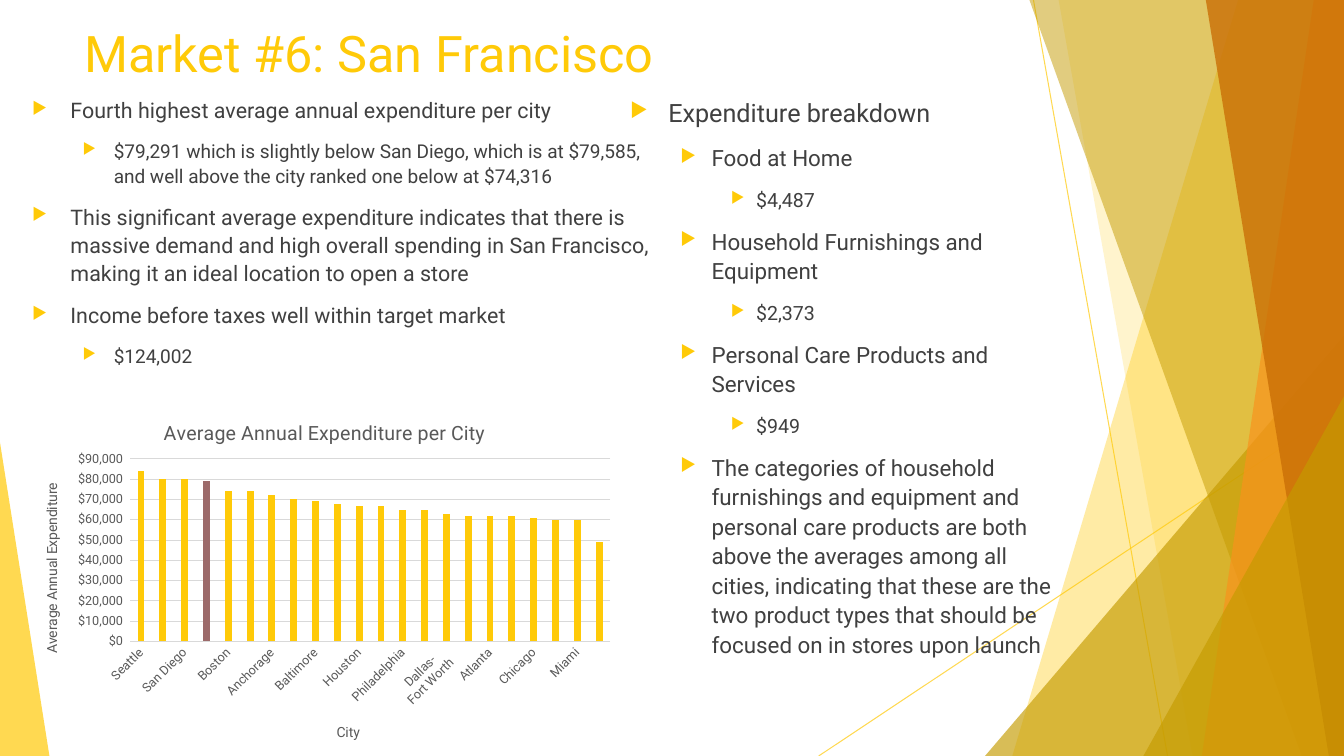
"""Builds the San Francisco market slide with its expenditure chart."""
from dataclasses import dataclass

from lxml import etree
from pptx import Presentation
from pptx.chart.data import CategoryChartData
from pptx.dml.color import RGBColor
from pptx.enum.chart import XL_CHART_TYPE, XL_TICK_MARK
from pptx.enum.shapes import MSO_CONNECTOR, MSO_SHAPE
from pptx.oxml.ns import qn
from pptx.util import Pt

COLUMNS = XL_CHART_TYPE.COLUMN_CLUSTERED
NO_TICK = XL_TICK_MARK.NONE
STRAIGHT = MSO_CONNECTOR.STRAIGHT
TRIANGLE = MSO_SHAPE.ISOSCELES_TRIANGLE
PX = 9144


@dataclass(frozen=True)
class Theme:
    font: str = "Roboto"
    gold: str = "FFCA08"
    olive: str = "C59B00"
    orange: str = "F8931D"
    rust: str = "CA6F06"
    body: str = "404040"
    label: str = "595959"
    grid: str = "D9D9D9"
    highlight: str = "9C6A6A"
    title_size: float = 36
    market_sizes: tuple = (15.3, 13.6)
    breakdown_sizes: tuple = (18, 16, 14)
    chart_title_size: float = 14
    axis_title_size: float = 10
    tick_size: float = 9
    indents: tuple = ((38, 38), (81, 31), (125, 25))


class SlideBuilder:
    def __init__(self, slide, theme):
        self.shapes = slide.shapes
        self.theme = theme

    def fade(self, shape, opacity):
        properties = shape._element.spPr
        for color in properties.iter(qn("a:srgbClr")):
            etree.SubElement(color, qn("a:alpha"), val=str(opacity * 1000))

    def paint(self, shape, color, opacity):
        shape.shadow.inherit = False
        shape.fill.solid()
        shape.fill.fore_color.rgb = RGBColor.from_string(color)
        shape.line.fill.background()
        self.fade(shape, opacity)

    def ray(self, start, end):
        ray = self.shapes.add_connector(STRAIGHT, *(v * PX for v in start + end))
        ray.line.color.rgb = RGBColor.from_string(self.theme.gold)
        ray.line.width = Pt(0.75)
        self.fade(ray, 70)
        etree.SubElement(ray._element.spPr, qn("a:effectLst"))

    def shard(self, top_left, bottom_left, color, opacity):
        outline = self.shapes.build_freeform(top_left, 0, scale=PX)
        outline.add_line_segments([(1333, 0), (1333, 750), (bottom_left, 750)])
        self.paint(outline.convert_to_shape(), color, opacity)

    def triangle(self, box, apex, color, opacity):
        triangle = self.shapes.add_shape(TRIANGLE, *(v * PX for v in box))
        triangle.adjustments[0] = apex
        self.paint(triangle, color, opacity)

    def style_font(self, font, size, color):
        font.name = self.theme.font
        font.size = Pt(size)
        font.bold = False
        font.color.rgb = RGBColor.from_string(color)

    def text_frame(self, box):
        frame = self.shapes.add_textbox(*(v * PX for v in box)).text_frame
        frame.word_wrap = True
        return frame

    def heading(self, box, text):
        frame = self.text_frame(box)
        frame.text = text
        font = frame.paragraphs[0].runs[0].font
        self.style_font(font, self.theme.title_size, self.theme.gold)

    def outline(self, box, points, sizes):
        frame = self.text_frame(box)
        for number, (level, text) in enumerate(points):
            point = frame.add_paragraph() if number else frame.paragraphs[0]
            point.text = text
            point.level = level
            point.line_spacing = 1.1
            point.space_before = Pt(10)
            self.style_font(point.runs[0].font, sizes[level], self.theme.body)
            self.bullet(point, *self.theme.indents[level])

    def bullet(self, point, margin, hanging):
        properties = point._p.get_or_add_pPr()
        properties.set("marL", str(margin * PX))
        properties.set("indent", str(-hanging * PX))
        bullet_color = etree.SubElement(properties, qn("a:buClr"))
        etree.SubElement(bullet_color, qn("a:srgbClr"), val=self.theme.gold)
        etree.SubElement(properties, qn("a:buSzPct"), val="80000")
        etree.SubElement(properties, qn("a:buChar"), char="▶")

    def place(self, element, index, **fractions):
        for previous in element.findall(qn("c:layout")):
            element.remove(previous)
        layout = etree.Element(qn("c:layout"))
        manual = etree.SubElement(layout, qn("c:manualLayout"))
        if "w" in fractions:
            etree.SubElement(manual, qn("c:layoutTarget"), val="inner")
        for side in "xy":
            etree.SubElement(manual, qn(f"c:{side}Mode"), val="edge")
        for name, value in fractions.items():
            etree.SubElement(manual, qn(f"c:{name}"), val=str(value))
        element.insert(index, layout)

    def chart_heading(self, title, text, size, x, y):
        title.text_frame.text = text
        font = title.text_frame.paragraphs[0].runs[0].font
        self.style_font(font, size, self.theme.label)
        self.place(title._element, 1, x=x, y=y)

    def column_chart(self, box, title, axis_titles, spending, highlighted):
        theme = self.theme
        data = CategoryChartData(number_format='"$"#,##0')
        data.categories = list(spending)
        data.add_series("Series 1", spending.values())
        chart = self.shapes.add_chart(COLUMNS, *(v * PX for v in box), data).chart
        self.style_font(chart.font, theme.axis_title_size, theme.label)
        chart.has_legend = False
        self.chart_heading(chart.chart_title, title, theme.chart_title_size, 0.23, 0.05)
        chart.chart_title.include_in_layout = False
        plot_area = chart._chartSpace.chart.plotArea
        self.place(plot_area, 0, x=0.18, y=0.17, w=0.8, h=0.51)

        cities, amounts = chart.category_axis, chart.value_axis
        for axis, text, x, y in zip((cities, amounts), axis_titles, (0.52, 0.03), (0.9, 0.23)):
            self.chart_heading(axis.axis_title, text, theme.axis_title_size, x, y)
            self.style_font(axis.tick_labels.font, theme.tick_size, theme.label)
            axis.major_tick_mark = axis.minor_tick_mark = NO_TICK
        amounts.axis_title.text_frame._txBody.bodyPr.set("rot", "-5400000")
        cities._element.txPr.bodyPr.set("rot", "-2700000")
        amounts.minimum_scale, amounts.maximum_scale = 0, 90000
        amounts.major_unit = 10000
        amounts.tick_labels.number_format = '"$"#,##0_);[Red]\\("$"#,##0\\)'
        amounts.tick_labels.number_format_is_linked = False
        amounts.format.line.fill.background()
        for line in (cities.format.line, amounts.major_gridlines.format.line):
            line.color.rgb = RGBColor.from_string(theme.grid)
            line.width = Pt(0.75)

        plot = chart.plots[0]
        plot.gap_width, plot.overlap, plot.vary_by_categories = 219, -27, False
        series = plot.series[0]
        city_column = series.points[list(spending).index(highlighted)]
        for column, color in ((series, theme.gold), (city_column, theme.highlight)):
            column.format.fill.solid()
            column.format.fill.fore_color.rgb = RGBColor.from_string(color)


MARKET = [
    (0, "Fourth highest average annual expenditure per city"),
    (1, "$79,291 which is slightly below San Diego, which is at $79,585, and well above the city ranked one below at $74,316"),
    (0, "This significant average expenditure indicates that there is massive demand and high overall spending in San Francisco, making it an ideal location to open a store"),
    (0, "Income before taxes well within target market"),
    (1, "$124,002"),
]
BREAKDOWN = [
    (0, "Expenditure breakdown"),
    (1, "Food at Home"), (2, "$4,487"),
    (1, "Household Furnishings and Equipment"), (2, "$2,373"),
    (1, "Personal Care Products and Services"), (2, "$949"),
    (1, "The categories of household furnishings and equipment and personal care products are both above the averages among all cities, indicating that these are the two product types that should be focused on in stores upon launch"),
]
SPENDING = {
    "Seattle": 84000, "Washington\nD.C.": 80000, "San Diego": 80000,
    "San\nFrancisco": 79000, "Boston": 74000, "Denver": 74000,
    "Anchorage": 72000, "Minneapolis-\nSt. Paul": 70000, "Baltimore": 69000,
    "New York": 68000, "Houston": 67000, "Los\nAngeles": 67000,
    "Philadelphia": 65000, "Honolulu": 65000, "Dallas-\nFort Worth": 63000,
    "St. Louis": 62000, "Atlanta": 62000, "Phoenix": 62000, "Chicago": 61000,
    "Detroit": 60000, "Miami": 60000, "Tampa": 49000,
}


def main():
    deck = Presentation()
    deck.slide_width, deck.slide_height = 1333 * PX, 750 * PX
    theme = Theme()
    page = SlideBuilder(deck.slides.add_slide(deck.slide_layouts[6]), theme)
    page.ray((1025, 0), (1158, 750))
    page.ray((1333, 403), (812, 750))
    page.shard(1228, 1004, theme.gold, 36)
    page.shard(1050, 1183, theme.gold, 20)
    page.triangle((977, 333, 356, 417), 1, theme.olive, 66)
    page.shard(1021, 1291, theme.olive, 50)
    page.shard(1303, 1192, theme.orange, 70)
    page.shard(1196, 1318, theme.rust, 80)
    page.triangle((1134, 393, 199, 357), 1, theme.olive, 66)
    page.triangle((0, 439, 49, 311), 0, theme.gold, 70)
    page.heading((74, 17, 940, 144), "Market #6: San Francisco")
    page.outline((22, 89, 645, 305), MARKET, theme.market_sizes)
    page.column_chart((22, 395, 595, 355), "Average Annual Expenditure per City",
                      ("City", "Average Annual Expenditure"), SPENDING, "San\nFrancisco")
    page.outline((615, 89, 451, 630), BREAKDOWN, theme.breakdown_sizes)
    deck.save("out.pptx")


if __name__ == "__main__":
    main()
